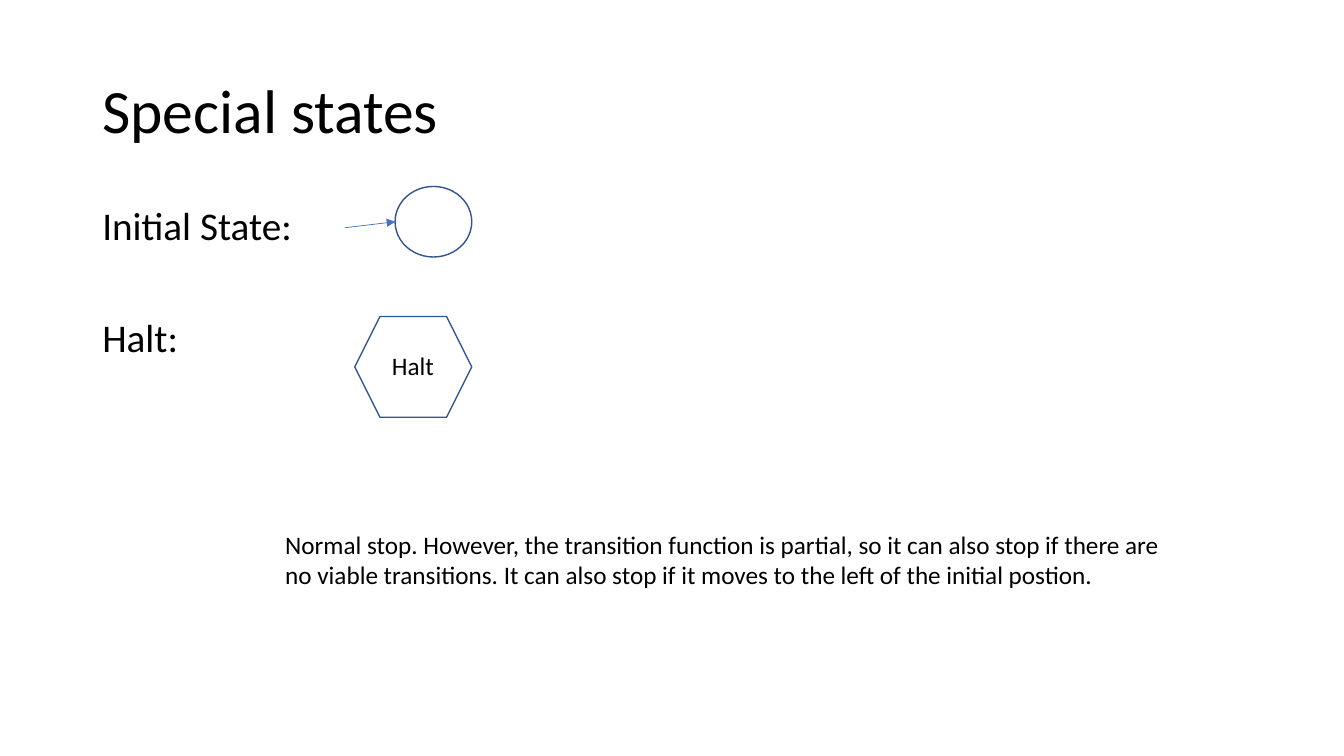
"""Build a slide showing the notation for the special states of a machine."""
from dataclasses import dataclass

import pptx
import pptx.dml.color
import pptx.enum.shapes
import pptx.enum.text
import pptx.oxml
import pptx.oxml.ns
import pptx.util

Pt = pptx.util.Pt
RGB = pptx.dml.color.RGBColor
Shape = pptx.enum.shapes.MSO_SHAPE
Anchor = pptx.enum.text.MSO_ANCHOR


@dataclass(frozen=True)
class Theme:
    font: str = "Calibri"
    text: RGB = RGB(0x00, 0x00, 0x00)
    outline: RGB = RGB(0x32, 0x54, 0x91)
    arrow: RGB = RGB(0x44, 0x72, 0xC4)
    title_size: int = 44
    label_size: int = 28
    note_size: int = 18


THEME = Theme()


def add_text(s, box, text, size, anchor=Anchor.TOP, wrap=True, spacing=1.0, gap=0):
    sp = s.shapes.add_textbox(*map(Pt, box))
    tf = sp.text_frame
    tf.text = text
    tf.word_wrap = wrap
    tf.vertical_anchor = anchor
    for p in tf.paragraphs:
        p.line_spacing = spacing
        p.space_after = Pt(gap)
        for r in p.runs:
            r.font.name = THEME.font
            r.font.size = Pt(size)
            r.font.color.rgb = THEME.text


def add_state(s, kind, box):
    sp = s.shapes.add_shape(kind, *map(Pt, box))
    sp.shadow.inherit = False
    sp.fill.background()
    sp.line.color.rgb = THEME.outline
    sp.line.width = Pt(1)


def add_arrow(s, start, end):
    straight = pptx.enum.shapes.MSO_CONNECTOR.STRAIGHT
    cxn = s.shapes.add_connector(straight, *map(Pt, start + end))
    cxn.line.color.rgb = THEME.arrow
    cxn.line.width = Pt(0.5)
    ns = pptx.oxml.ns.nsdecls("a")
    cxn.line._get_or_add_ln().append(
        pptx.oxml.parse_xml(f'<a:tailEnd {ns} type="triangle"/>'))
    cxn._element.spPr.append(pptx.oxml.parse_xml(f"<a:effectLst {ns}/>"))


def main():
    prs = pptx.Presentation()
    prs.slide_width, prs.slide_height = Pt(960), Pt(540)
    s = prs.slides.add_slide(prs.slide_layouts[6])

    add_text(s, (66, 28.8, 828, 104.4), "Special states", THEME.title_size,
             anchor=Anchor.MIDDLE, spacing=0.9)
    add_text(s, (66, 144, 828, 342.7), "Initial State:\nHalt:", THEME.label_size,
             spacing=0.9, gap=50)

    add_state(s, Shape.OVAL, (282.2, 133.2, 54.8, 50.4))
    add_arrow(s, (246.2, 162.7), (282.2, 158.4))

    add_state(s, Shape.HEXAGON, (253.4, 226.1, 83.6, 72))
    add_text(s, (272.9, 247, 44.6, 28.8), "Halt", THEME.note_size, wrap=False)

    add_text(s, (196.6, 374.4, 644.4, 51.1),
             "Normal stop. However, the transition function is partial, so it can "
             "also stop if there are no viable transitions. It can also stop if it "
             "moves to the left of the initial postion.", THEME.note_size)

    prs.save("out.pptx")


main()
